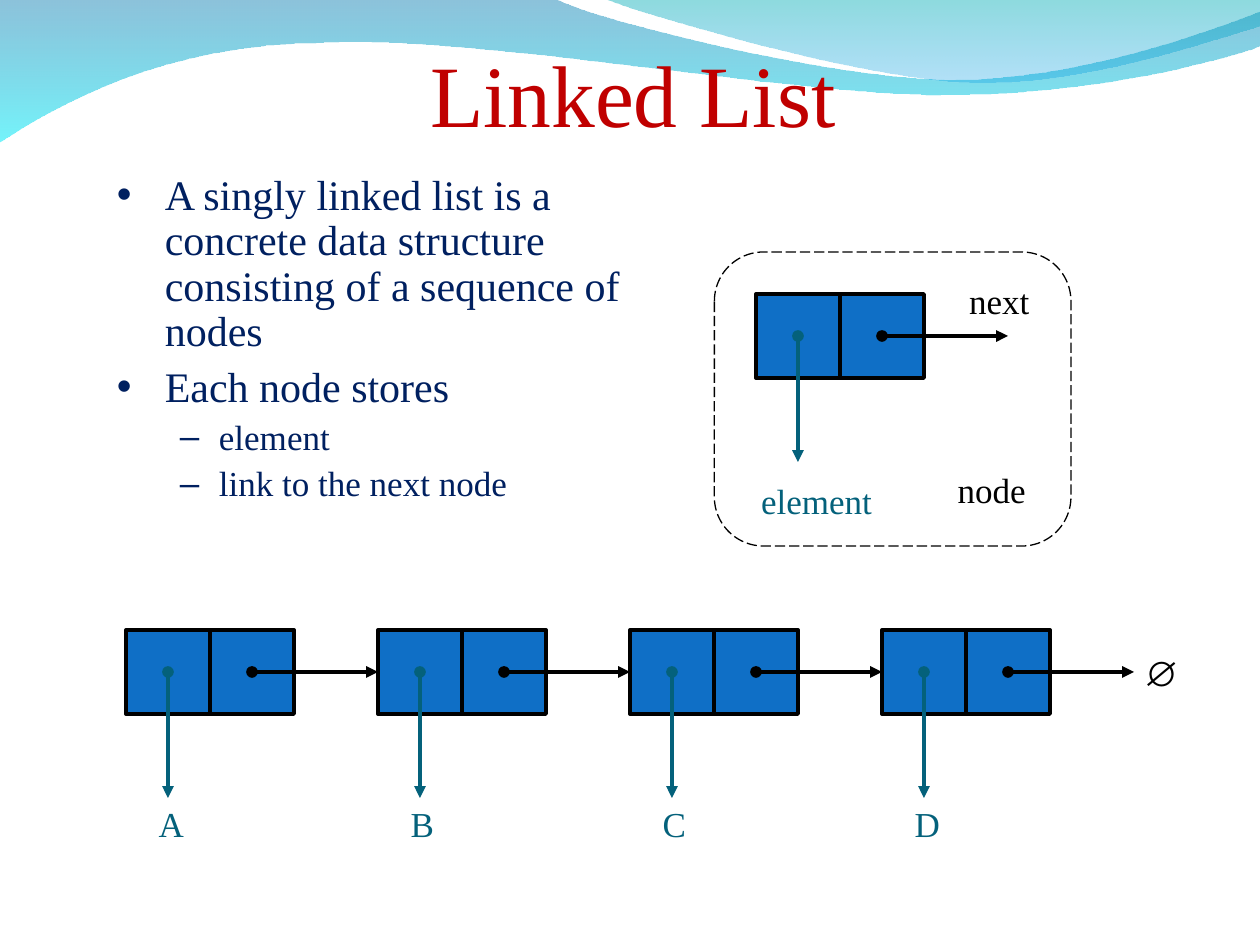
from dataclasses import dataclass

from lxml.etree import SubElement
from pptx import Presentation
from pptx.dml.color import RGBColor
from pptx.enum.dml import MSO_LINE
from pptx.enum.shapes import MSO_CONNECTOR, MSO_SHAPE
from pptx.enum.text import MSO_ANCHOR, MSO_AUTO_SIZE, PP_ALIGN
from pptx.oxml.ns import qn
from pptx.util import Inches, Pt


@dataclass(frozen=True)
class Theme:
    title: RGBColor = RGBColor(0xC0, 0x00, 0x00)
    body: RGBColor = RGBColor(0x00, 0x20, 0x60)
    cell: RGBColor = RGBColor(0x0F, 0x6F, 0xC6)
    element: RGBColor = RGBColor(0x04, 0x61, 0x7B)
    ink: RGBColor = RGBColor(0x00, 0x00, 0x00)
    font: str = "Times New Roman"
    symbol_font: str = "Arial"
    title_size: int = 50
    body_size: int = 24
    label_size: int = 20
    stroke: float = 2.25


theme = Theme()
prs = Presentation()
prs.slide_width, prs.slide_height = Inches(10), Inches(7.5)
s = prs.slides.add_slide(prs.slide_layouts[6])


def add_label(text, x, y, w, h, color, size=theme.label_size, font=theme.font):
    tb = s.shapes.add_textbox(Inches(x), Inches(y), Inches(w), Inches(h))
    tb.text_frame.auto_size = MSO_AUTO_SIZE.SHAPE_TO_FIT_TEXT
    p = tb.text_frame.paragraphs[0]
    p.text = text
    p.alignment = PP_ALIGN.CENTER
    f = p.runs[0].font
    f.name, f.size, f.color.rgb = font, Pt(size), color
    return tb


def add_node(x, y):
    """Draw two cells with their element and next pointers."""
    cell, arrow = 2 / 3, 1
    for i in range(2):
        sp = s.shapes.add_shape(MSO_SHAPE.RECTANGLE, Inches(x + i * cell), Inches(y),
                                Inches(cell), Inches(cell))
        sp.shadow.inherit = False
        sp.fill.solid()
        sp.fill.fore_color.rgb = theme.cell
        sp.line.color.rgb = theme.ink
        sp.line.width = Pt(theme.stroke)
    mid = y + cell / 2
    for start, dx, dy, color in ((x + cell / 2, 0, arrow, theme.element),
                                 (x + cell * 1.5, arrow, 0, theme.ink)):
        cn = s.shapes.add_connector(MSO_CONNECTOR.STRAIGHT, Inches(start), Inches(mid),
                                    Inches(start + dx), Inches(mid + dy))
        cn.line.color.rgb = color
        cn.line.width = Pt(theme.stroke)
        ln = cn.line._get_or_add_ln()
        SubElement(ln, qn("a:headEnd"), type="oval")
        SubElement(ln, qn("a:tailEnd"), type="triangle")
        SubElement(cn.element.spPr, qn("a:effectLst"))


# Header waves: a side of one point is straight, a side of three is a cubic curve
waves = [
    ((0, -0.01),
     [[(4.4, -0.01)],
      [(4.76, 0.17), (6.64, 0.63), (7.58, 0.63)],
      [(8.53, 0.63), (9.58, 0.26), (10, 0.09)],
      [(10.01, 0.36)],
      [(9.83, 0.44), (8.7, 0.76), (7.46, 0.75)],
      [(6.22, 0.75), (3.82, 0.28), (2.57, 0.34)],
      [(1.29, 0.35), (0.46, 0.83), (-0.01, 1.13)]],
     (("0079AF", 45), ("00EBF8", 55))),
    ((4.79, -0.01),
     [[(5.09, 0.11), (6.82, 0.62), (7.69, 0.65)],
      [(8.56, 0.69), (9.61, 0.32), (10, 0.21)],
      [(10, 0)]],
     (("00ADB6", 45), ("009BE5", 30))),
]
for (x, y), sides, stops in waves:
    builder = s.shapes.build_freeform(Inches(x), Inches(y))
    builder.add_line_segments([(Inches(side[-1][0]), Inches(side[-1][1])) for side in sides])
    sp = builder.convert_to_shape()
    for segment, side in zip(list(sp.element.iter(qn("a:lnTo"))), sides):
        if len(side) == 3:
            curve = segment.makeelement(qn("a:cubicBezTo"))
            for px, py in side:
                SubElement(curve, qn("a:pt"), x=str(Inches(px) - sp.left),
                           y=str(Inches(py) - sp.top))
            segment.getparent().replace(segment, curve)
    sp.shadow.inherit = False
    sp.line.fill.background()
    sp.fill.gradient()
    sp.fill.gradient_angle = 270
    for stop, (color, _) in zip(sp.fill.gradient_stops, stops):
        stop.color.rgb = RGBColor.from_string(color)
    for clr, (_, opacity) in zip(sp.element.spPr.iter(qn("a:srgbClr")), stops):
        SubElement(clr, qn("a:alpha"), val=str(opacity * 1000))

# Title
tf = add_label("Linked List", 0.55, 0, 8.95, 1.15, theme.title, theme.title_size).text_frame
tf.auto_size = MSO_AUTO_SIZE.NONE
tf.word_wrap = True
tf.vertical_anchor = MSO_ANCHOR.BOTTOM
tf.margin_left = tf.margin_right = tf.margin_bottom = 0

# Bullets
tf = s.shapes.add_textbox(Inches(0.83), Inches(4 / 3), Inches(4.5), Inches(2.75)).text_frame
tf.word_wrap = True
levels = [("•", 0.38, -0.38, 6, theme.body_size), ("–", 0.81, -0.31, 5, theme.label_size)]
bullets = [
    (0, "A singly linked list is a concrete data structure consisting of a sequence of nodes"),
    (0, "Each node stores"),
    (1, "element"),
    (1, "link to the next node"),
]
for i, (level, text) in enumerate(bullets):
    mark, margin, indent, before, size = levels[level]
    p = tf.add_paragraph() if i else tf.paragraphs[0]
    p.text = text
    p.level = level
    p.line_spacing = 0.9
    p.space_before = Pt(before)
    f = p.runs[0].font
    f.name, f.size, f.color.rgb = theme.font, Pt(size), theme.body
    pPr = p._p.get_or_add_pPr()
    pPr.set("marL", str(Inches(margin)))
    pPr.set("indent", str(Inches(indent)))
    SubElement(SubElement(pPr, qn("a:buClr")), qn("a:srgbClr"), val=str(theme.body))
    SubElement(pPr, qn("a:buFont"), typeface=theme.symbol_font)
    SubElement(pPr, qn("a:buChar"), char=mark)

# Node anatomy
frame = s.shapes.add_shape(MSO_SHAPE.ROUNDED_RECTANGLE, Inches(5.67), Inches(2),
                           Inches(2.83), Inches(7 / 3))
frame.adjustments[0] = 0.167
frame.shadow.inherit = False
frame.fill.background()
frame.line.color.rgb = theme.ink
frame.line.width = Pt(0.75)
frame.line.dash_style = MSO_LINE.LONG_DASH
add_node(6, 7 / 3)
add_label("next", 7.59, 2.17, 0.68, 0.44, theme.ink)
add_label("element", 5.94, 3.76, 1.08, 0.44, theme.element)
add_label("node", 7.5, 3.67, 0.74, 0.44, theme.ink)

# Chain of nodes ending in the empty link
for i, name in enumerate("ABCD"):
    x = 1 + 2 * i
    add_node(x, 5)
    add_label(name, x + 0.16, 6.32, 0.38, 0.44, theme.element)
end = add_label("∅", 8.98, 5.12, 0.42, 0.44, theme.ink, font=theme.symbol_font)
end.text_frame.paragraphs[0].runs[0].font.bold = True

prs.save("out.pptx")
